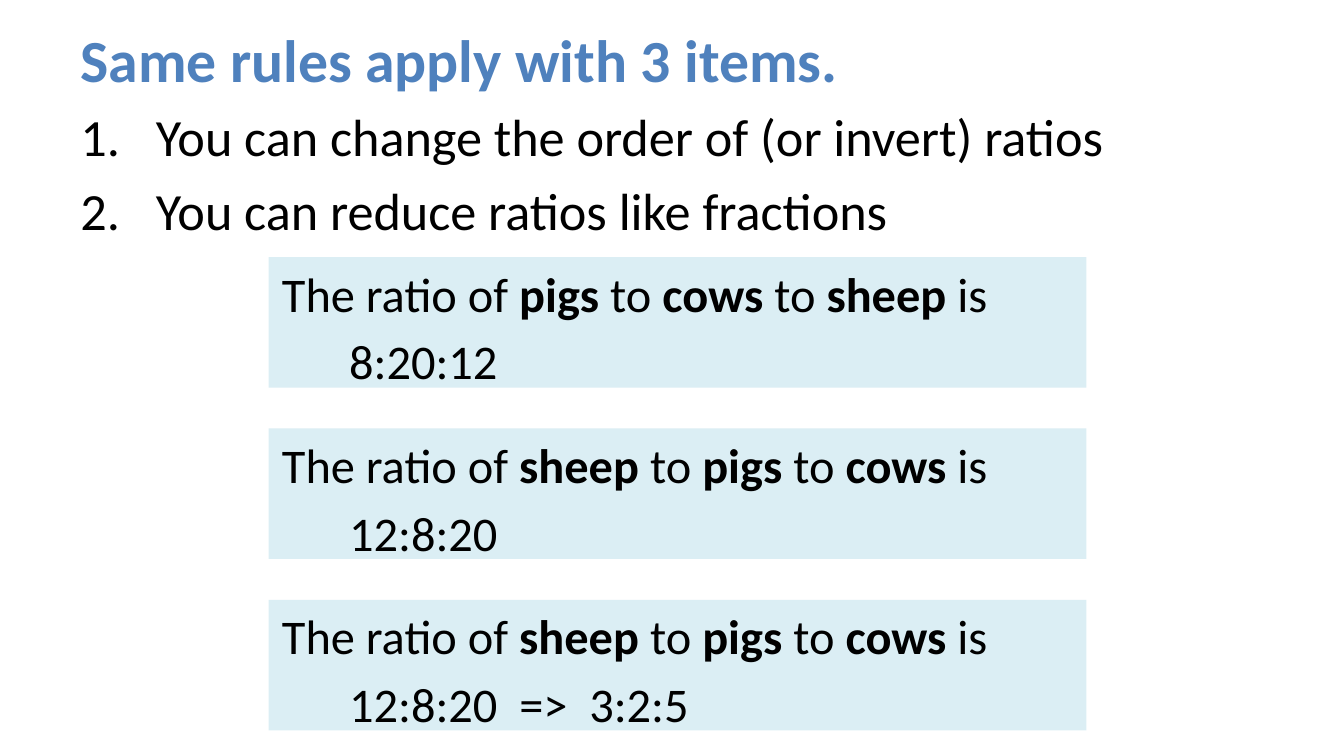
from lxml import etree
from pptx import Presentation
from pptx import util as u
from pptx.dml.color import RGBColor
from pptx.enum import shapes, text
from pptx.oxml.ns import qn

BLUE = RGBColor(0x4F, 0x81, 0xBD)
BLACK = RGBColor(0, 0, 0)
PALE_BLUE = RGBColor(0xDB, 0xEE, 0xF4)
FONT = "Calibri"

TITLE = "Same rules apply with 3 items."
RULES = [
    "You can change the order of (or invert) ratios",
    "You can reduce ratios like fractions",
]
EXAMPLES = [
    (("pigs", "cows", "sheep"), "8:20:12"),
    (("sheep", "pigs", "cows"), "12:8:20"),
    (("sheep", "pigs", "cows"), "12:8:20  =>  3:2:5"),
]


def style_paragraph(paragraph, size, color=BLACK, space_before=0):
    paragraph.alignment = text.PP_ALIGN.LEFT
    paragraph.space_before = u.Pt(space_before)
    paragraph.font.name = FONT
    paragraph.font.size = u.Pt(size)
    paragraph.font.color.rgb = color


def number_paragraph(paragraph, indent):
    properties = paragraph._p.get_or_add_pPr()
    properties.set("marL", str(u.Pt(indent)))
    properties.set("indent", str(-u.Pt(indent)))
    etree.SubElement(properties, qn("a:buFont"), typeface="+mj-lt")
    etree.SubElement(properties, qn("a:buAutoNum"), type="arabicPeriod")


def add_rules(slide):
    box = slide.shapes.add_textbox(u.Pt(36), u.Pt(8.5), u.Pt(648), u.Pt(125))
    frame = box.text_frame
    frame.word_wrap = True
    heading = frame.paragraphs[0]
    heading.text = TITLE
    style_paragraph(heading, 32, BLUE)
    heading.font.bold = True
    for rule in RULES:
        paragraph = frame.add_paragraph()
        paragraph.text = rule
        number_paragraph(paragraph, 40.5)
        style_paragraph(paragraph, 28, space_before=5.6)


def add_example(slide, top, animals, ratio):
    box = slide.shapes.add_shape(
        shapes.MSO_SHAPE.RECTANGLE, u.Pt(144), u.Pt(top), u.Pt(438), u.Pt(70))
    box.shadow.inherit = False
    box.fill.solid()
    box.fill.fore_color.rgb = PALE_BLUE
    box.line.fill.background()
    frame = box.text_frame
    frame.word_wrap = True
    frame.vertical_anchor = text.MSO_ANCHOR.TOP
    sentence = frame.paragraphs[0]
    style_paragraph(sentence, 25.9)
    for lead, animal in zip(("The ratio of ", " to ", " to "), animals):
        sentence.add_run().text = lead
        name = sentence.add_run()
        name.text = animal
        name.font.bold = True
    sentence.add_run().text = " is"
    result = frame.add_paragraph()
    result.text = "\t" + ratio
    style_paragraph(result, 25.9, space_before=5.2)


def main():
    """Build the slide on ratios of three items."""
    presentation = Presentation()
    presentation.slide_width = u.Pt(720)
    presentation.slide_height = u.Pt(405)
    slide = presentation.slides.add_slide(presentation.slide_layouts[6])
    add_rules(slide)
    for index, (animals, ratio) in enumerate(EXAMPLES):
        add_example(slide, 137.7 + index * 91.8, animals, ratio)
    presentation.save("out.pptx")


if __name__ == "__main__":
    main()
